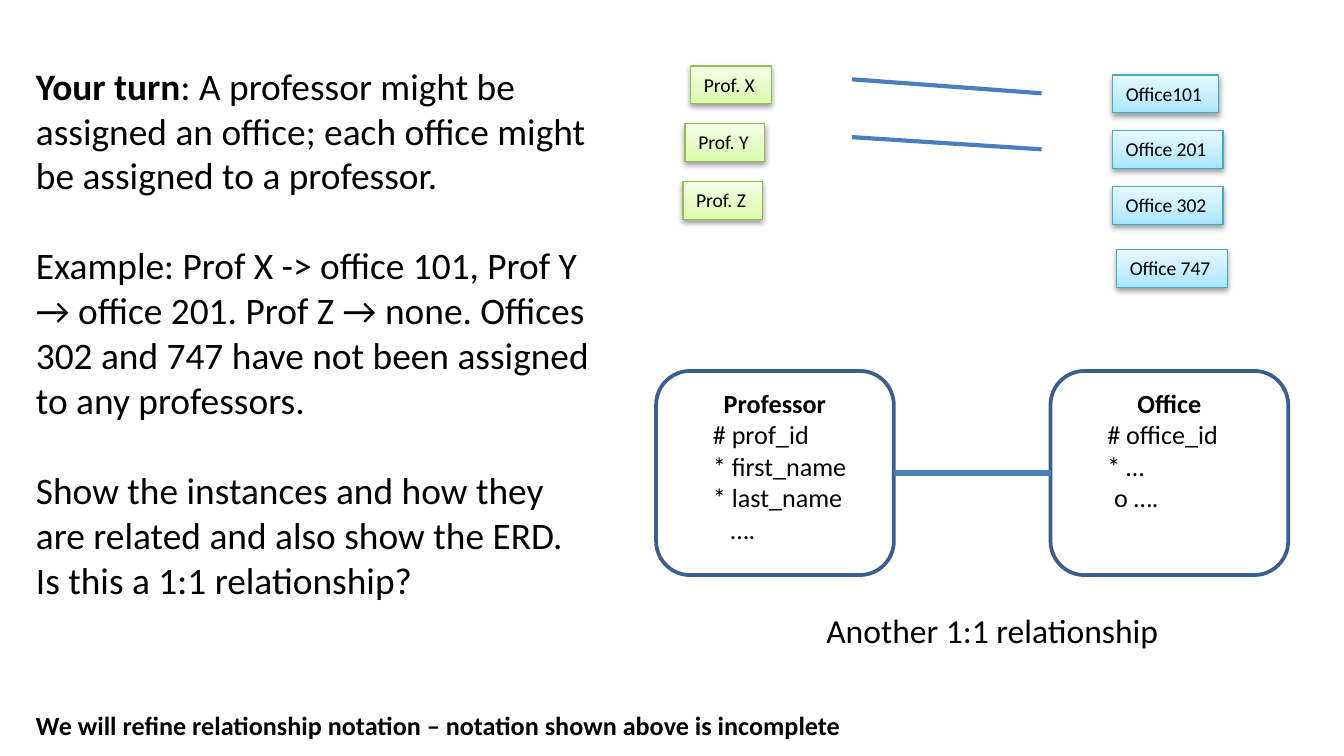
from typing import NamedTuple

from pptx import Presentation
from pptx.dml.color import RGBColor
from pptx.enum.shapes import MSO_CONNECTOR as Connector, MSO_SHAPE as Preset
from pptx.enum.text import MSO_ANCHOR as Anchor, PP_ALIGN as Align
from pptx.oxml import parse_xml
from pptx.oxml.ns import nsdecls
from pptx.oxml.xmlchemy import OxmlElement
from pptx.util import Pt


class Theme(NamedTuple):
    line: str
    stops: tuple[tuple[int, str], ...]


class Instance(NamedTuple):
    text: str
    left: float
    top: float
    width: float
    theme: Theme


class Attribute(NamedTuple):
    text: str
    indent: float = 18


class Entity(NamedTuple):
    name: str
    left: float
    attributes: tuple[Attribute, ...]


class Link(NamedTuple):
    start: tuple[float, float]
    end: tuple[float, float]
    weight: float


GREEN = Theme("98B955", ((0, "DAFDA7"), (35, "E4FCC2"), (100, "F5FFE7")))
BLUE = Theme("46AAC5", ((0, "A7E6FF"), (35, "C1EDFF"), (100, "E7F8FF")))
INSTANCE_HEIGHT = 20.2
ENTITY_TOP, ENTITY_WIDTH, ENTITY_HEIGHT = 198.7, 127.4, 109.4
ENTITY_MIDDLE = ENTITY_TOP + ENTITY_HEIGHT / 2

PROFESSORS = [
    Instance(f"Prof. {letter}", left, 35.3 + 31 * row, width, GREEN)
    for row, (letter, left, width) in enumerate(
        [("X", 370, 43.2), ("Y", 367, 42.6), ("Z", 365.8, 42.6)]
    )
]
OFFICES = [
    Instance("Office101", 596, 40.2, 56.9, BLUE),
    Instance("Office 201", 596, 70, 59.3, BLUE),
    Instance("Office 302", 596, 100, 59.3, BLUE),
    Instance("Office 747", 598.2, 133.8, 59.3, BLUE),
]
ENTITIES = [
    Entity("Professor", 351.5, (
        Attribute("# prof_id"),
        Attribute("* first_name"),
        Attribute("* last_name"),
        Attribute("….", 27.5),
    )),
    Entity("Office", 562.8, (
        Attribute("# office_id"),
        Attribute("* …"),
        Attribute("o ….", 21.7),
    )),
]
LINKS = [
    Link((456.5, 42.5), (558, 50), 2.25),
    Link((456.5, 73.5), (558, 80), 2.25),
    Link((ENTITIES[0].left + ENTITY_WIDTH, ENTITY_MIDDLE),
         (ENTITIES[1].left, ENTITY_MIDDLE), 3),
]


def color(value: str) -> RGBColor:
    return RGBColor.from_string(value)


def add_span(para, text: str, *, size: float, bold: bool = False) -> None:
    span = para.add_run()
    span.text = text
    span.font.name = "Calibri"
    span.font.size = Pt(size)
    span.font.bold = bold
    span.font.color.rgb = color("000000")


def add_para(frame, first: bool = False, align=Align.LEFT, before: float = 0, indent: float = 0):
    para = frame.paragraphs[0] if first else frame.add_paragraph()
    para.alignment = align
    if before:
        para.space_before = Pt(before)
    if indent:
        properties = para._p.get_or_add_pPr()
        properties.set("marL", str(Pt(indent)))
        properties.set("indent", "0")
    return para


def add_text_box(slide, left: float, top: float, width: float, height: float, wrap: bool = True):
    box = slide.shapes.add_textbox(Pt(left), Pt(top), Pt(width), Pt(height))
    box.text_frame.word_wrap = wrap
    return box.text_frame


def add_instance(slide, item: Instance) -> None:
    box = slide.shapes.add_shape(
        Preset.RECTANGLE, Pt(item.left), Pt(item.top), Pt(item.width), Pt(INSTANCE_HEIGHT)
    )
    stops = "".join(
        f'<a:gs pos="{place * 1000}"><a:srgbClr val="{value}"/></a:gs>'
        for place, value in item.theme.stops
    )
    box._element.spPr.append(parse_xml(
        f'<a:gradFill {nsdecls("a")} rotWithShape="1"><a:gsLst>{stops}</a:gsLst>'
        '<a:lin ang="16200000" scaled="0"/></a:gradFill>'
    ))
    box.line.color.rgb = color(item.theme.line)
    box.line.width = Pt(0.75)
    box._element.spPr.append(parse_xml(
        f'<a:effectLst {nsdecls("a")}>'
        f'<a:outerShdw blurRad="{Pt(3.1)}" dist="{Pt(1.6)}" dir="5400000" rotWithShape="0">'
        '<a:srgbClr val="000000"><a:alpha val="38000"/></a:srgbClr>'
        '</a:outerShdw></a:effectLst>'
    ))
    frame = box.text_frame
    frame.word_wrap = False
    frame.vertical_anchor = Anchor.TOP
    add_span(add_para(frame, first=True), item.text, size=10.5)


def add_entity(slide, entity: Entity) -> None:
    box = slide.shapes.add_shape(
        Preset.ROUNDED_RECTANGLE,
        Pt(entity.left), Pt(ENTITY_TOP), Pt(ENTITY_WIDTH), Pt(ENTITY_HEIGHT),
    )
    box.shadow.inherit = False
    box.fill.background()
    box.line.color.rgb = color("3A5F8C")
    box.line.width = Pt(2)
    frame = box.text_frame
    frame.word_wrap = True
    frame.vertical_anchor = Anchor.TOP
    add_span(add_para(frame, first=True, align=Align.CENTER), entity.name, size=14, bold=True)
    for attribute in entity.attributes:
        add_span(add_para(frame, indent=attribute.indent), attribute.text, size=14)


def add_link(slide, link: Link) -> None:
    line = slide.shapes.add_connector(
        Connector.STRAIGHT, *(Pt(value) for value in link.start + link.end)
    )
    line.line.color.rgb = color("4B7EBC")
    line.line.width = Pt(link.weight)
    line._element.spPr.append(OxmlElement("a:effectLst"))


def add_exercise(slide) -> None:
    frame = add_text_box(slide, 12.2, 30.2, 311.8, 298)
    para = add_para(frame, first=True)
    add_span(para, "Your turn", size=20, bold=True)
    add_span(
        para,
        ": A professor might be assigned an office; "
        "each office might be assigned to a professor.",
        size=20,
    )
    for text in (
        "Example: Prof X -> office 101, Prof Y → office 201. Prof Z → none. "
        "Offices 302 and 747 have not been assigned to any professors.",
        "Show the instances and how they are related and also show the ERD. "
        "Is this a 1:1 relationship?",
    ):
        add_span(add_para(frame, before=24.2), text, size=20)


def main() -> None:
    deck = Presentation()
    deck.slide_width, deck.slide_height = Pt(720), Pt(405)
    slide = deck.slides.add_slide(deck.slide_layouts[6])
    add_exercise(slide)
    for item in PROFESSORS + OFFICES:
        add_instance(slide, item)
    for entity in ENTITIES:
        add_entity(slide, entity)
    for link in LINKS:
        add_link(slide, link)
    caption = add_text_box(slide, 435.6, 323.3, 194.4, 29, wrap=False)
    add_span(add_para(caption, first=True), "Another 1:1 relationship", size=18)
    footer = add_text_box(slide, 12.2, 376.6, 462.2, 24.3)
    add_span(
        add_para(footer, first=True),
        "We will refine relationship notation – notation shown above is incomplete",
        size=14, bold=True,
    )
    deck.save("out.pptx")


if __name__ == "__main__":
    main()
